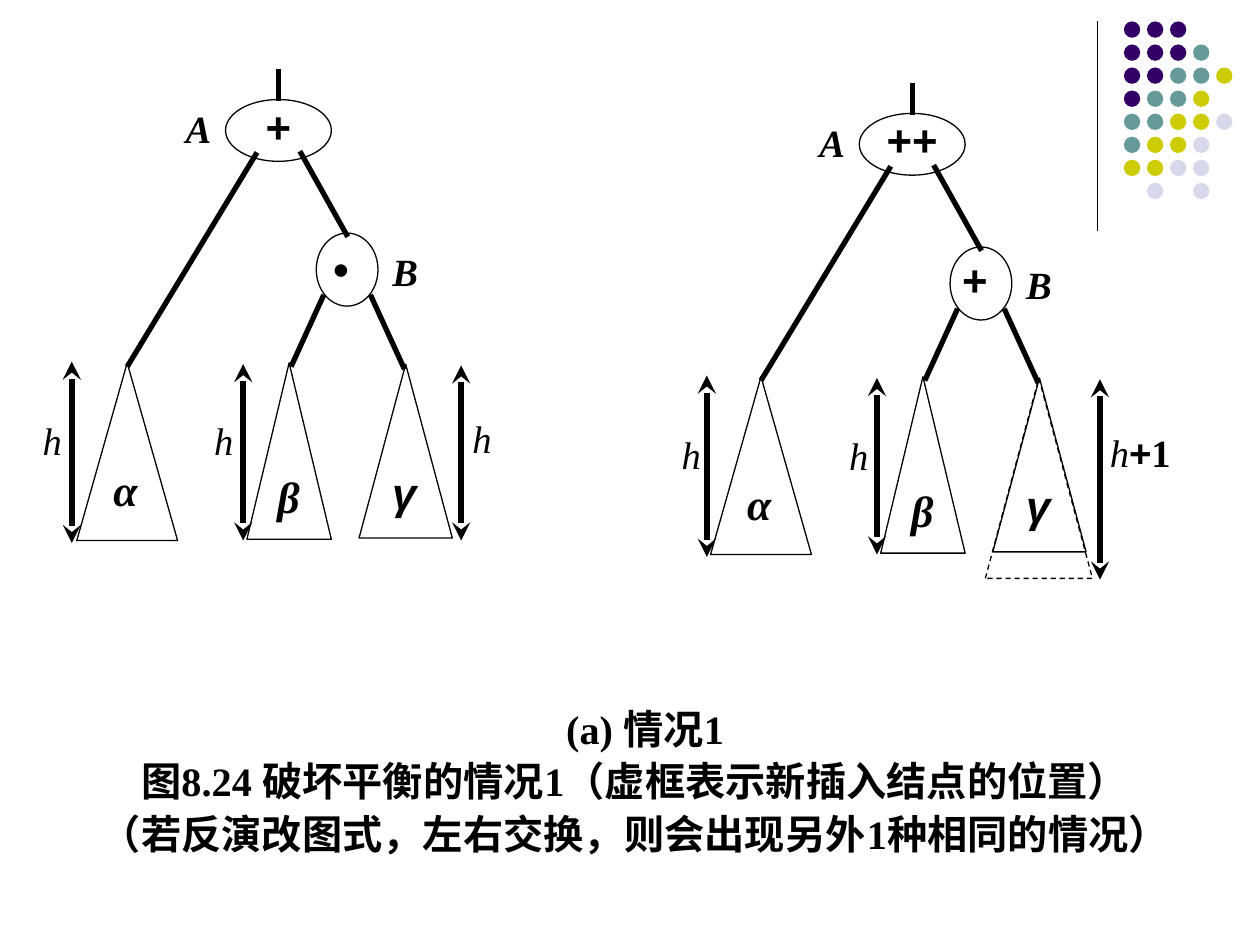
import pptx
import pptx.util
import pptx.dml.color
import pptx.enum.dml
import pptx.enum.shapes
import pptx.enum.text
import pptx.oxml.ns
import lxml.etree

Inches, Pt = pptx.util.Inches, pptx.util.Pt
KIND = pptx.enum.shapes.MSO_SHAPE
COLORS = {"ink": "000000", "P": "330066", "T": "669999",
          "Y": "CCCC00", "L": "D8D8EC"}
SERIF, SANS = "Times New Roman", "Arial"
DOTS = ["PPP", "PPPT", "PPTTY", "PTTY", "TTYYL", "TYYL", "YYLL", " L L"]


def color(name):
    return pptx.dml.color.RGBColor.from_string(COLORS[name])


def node(parent, tag, **attrs):
    return lxml.etree.SubElement(parent, pptx.oxml.ns.qn(tag), **attrs)


def write(frame, text, size=25, font=SERIF, bold=True, italic=False,
          space=1.0, before=0, after=0, top=0, new=True, indent=0):
    """Add text as a paragraph, or as a further run when new is False."""
    para = frame.paragraphs[-1]
    if new:
        if para.runs:
            para = frame.add_paragraph()
        frame.word_wrap = True
        frame.vertical_anchor = pptx.enum.text.MSO_ANCHOR.MIDDLE
        frame.margin_left = frame.margin_right = frame.margin_bottom = 0
        frame.margin_top = Inches(top)
        para.alignment = pptx.enum.text.PP_ALIGN.CENTER
        para.line_spacing = space
        para.space_before, para.space_after = Pt(before), Pt(after)
        if indent:
            para._p.get_or_add_pPr().set("marL", str(Inches(indent)))
    run = para.add_run()
    run.text = text
    run.font.name, run.font.size = font, Pt(size)
    run.font.bold, run.font.italic = bold, italic
    run.font.color.rgb = color("ink")


def label(slide, text, x, y, w, h, **style):
    frame = slide.shapes.add_textbox(
        Inches(x), Inches(y), Inches(w), Inches(h)).text_frame
    write(frame, text, **style)
    return frame


def shape(slide, kind, x, y, w, h, fill=None, dash=False):
    item = slide.shapes.add_shape(
        kind, Inches(x), Inches(y), Inches(w), Inches(h))
    item.shadow.inherit = False
    if fill:
        item.fill.solid()
        item.fill.fore_color.rgb = color(fill)
        item.line.fill.background()
    else:
        item.fill.background()
        item.line.color.rgb = color("ink")
        item.line.width = Pt(0.74)
    if dash:
        item.line.dash_style = pptx.enum.dml.MSO_LINE.DASH
    return item


def line(slide, x1, y1, x2, y2, width=3, heads=False):
    item = slide.shapes.add_connector(
        pptx.enum.shapes.MSO_CONNECTOR.STRAIGHT,
        Inches(x1), Inches(y1), Inches(x2), Inches(y2))
    item.line.color.rgb = color("ink")
    item.line.width = Pt(width)
    if heads:
        edge = item.line._get_or_add_ln()
        for tag in ("a:headEnd", "a:tailEnd"):
            node(edge, tag, type="stealth")
    node(item._element.spPr, "a:effectLst")


def corner(slide):
    line(slide, 8.71, 0.17, 8.71, 1.83, width=0.74)
    for row, marks in enumerate(DOTS):
        for col, mark in enumerate(marks):
            if mark != " ":
                shape(slide, KIND.OVAL, 8.92 + 0.183 * col,
                      0.17 + 0.183 * row, 0.13, 0.13, fill=mark)


def tree(slide, dx, dy, root, child, marks):
    """Draw one tree; marks lists arrow x, arrow end, and h box x, y, w."""
    # Branches
    for x1, y1, x2, y2 in [(2.04, 1.21, 1.01, 2.91), (2.38, 1.2, 2.76, 1.88),
                           (2.21, 0.55, 2.21, 0.8), (2.57, 2.34, 2.31, 2.91),
                           (2.94, 2.34, 3.21, 2.93)]:
        line(slide, x1 + dx, y1 + dy, x2 + dx, y2 + dy)

    # Nodes with their balance signs
    top = shape(slide, KIND.OVAL, 1.79 + dx, 0.79 + dy, 0.84, 0.49)
    write(top.text_frame, root, font=SANS, space=0.8)
    low = shape(slide, KIND.OVAL, 2.51 + dx, 1.85 + dy, 0.49, 0.58)
    write(low.text_frame, child[0], font=SANS, **child[1])
    for name, x, y in [("A", 1.43, 0.84), ("B", 3.07, 1.97)]:
        label(slide, name, x + dx, y + dy, 0.29, 0.39, size=22, italic=True,
              space=0.96, before=13.8, after=4.6)

    # Subtrees
    for x, y, w, h in [(0.61, 2.88, 0.8, 1.41), (1.96, 2.88, 0.67, 1.4),
                       (2.85, 2.89, 0.74, 1.38)]:
        shape(slide, KIND.ISOSCELES_TRIANGLE, x + dx, y + dy, w, h)
    label(slide, "α", 0.83 + dx, 3.7 + dy, 0.33, 0.42, italic=True, space=0.9)
    for name, x, y, w, h, font in [("β", 2.15, 3.76, 0.28, 0.41, SERIF),
                                   ("γ", 3.06, 3.69, 0.3, 0.48, SANS)]:
        label(slide, name, x + dx, y + dy, w, h, font=font, italic=True,
              space=0.88, before=15.6, after=4.6)

    # Heights
    frame = None
    for start, (x, end, left, y, w) in zip((2.87, 2.89, 2.9), marks):
        line(slide, x, start + dy, x, end, width=3.49, heads=True)
        frame = label(slide, "h", left, y, w, 0.39, size=22, bold=False,
                      italic=True, space=0.8, top=0.04)
    return frame


def main():
    deck = pptx.Presentation()
    deck.slide_width, deck.slide_height = Inches(10), Inches(7.5)
    slide = deck.slides.add_slide(deck.slide_layouts[6])
    corner(slide)

    # Before the insertion
    tree(slide, 0, 0, "+", ("• ", {"space": Pt(28)}),
         [(0.57, 4.31, 0.32, 3.31, 0.19), (1.93, 4.29, 1.68, 3.31, 0.19),
          (3.66, 4.29, 3.69, 3.3, 0.27)])

    # After the insertion
    shape(slide, KIND.ISOSCELES_TRIANGLE, 7.82, 3, 0.85, 1.59, dash=True)
    taller = tree(slide, 5.03, 0.11, "++",
                  ("+ ", {"space": 0.8, "before": 15.6, "after": 4.6}),
                  [(5.61, 4.42, 5.39, 3.42, 0.19),
                   (6.96, 4.4, 6.72, 3.43, 0.19),
                   (8.73, 4.6, 8.78, 3.41, 0.54)])
    write(taller, "+", size=22, font=SANS, new=False)
    write(taller, "1", size=22, new=False)

    # Caption
    style = {"size": 23, "space": Pt(30)}
    frame = label(slide, "(a) 情况1", 0.55, 5.55, 8.98, 1.26,
                  indent=0.16, **style)
    for text in ("图8.24 破坏平衡的情况1（虚框表示新插入结点的位置）",
                 "（若反演改图式，左右交换，则会出现另外1种相同的情况）"):
        write(frame, text, **style)

    deck.save("out.pptx")


main()
